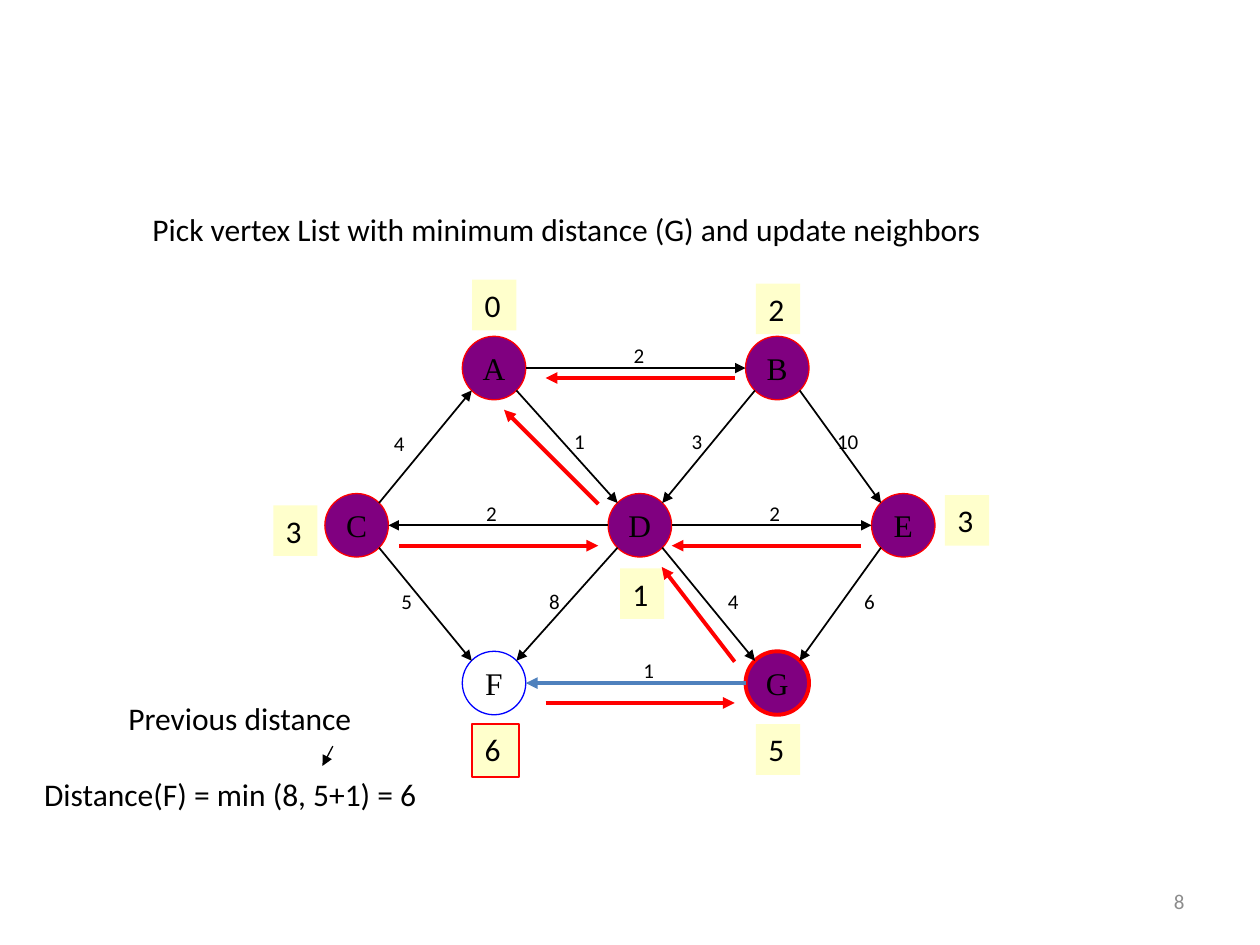
"""Build a slide showing one step of a shortest-path search on a weighted graph."""
from lxml.etree import SubElement
from pptx import Presentation
from pptx.dml.color import RGBColor
from pptx.enum.shapes import MSO_CONNECTOR as Connector, MSO_SHAPE as Shape
from pptx.enum.text import MSO_ANCHOR as Anchor, MSO_AUTO_SIZE as AutoSize, PP_ALIGN as Align
from pptx.oxml.ns import qn
from pptx.util import Cm, Pt

rgb = RGBColor.from_string
BLACK, RED, BLUE, PURPLE, YELLOW = "000000", "FF0000", "0000FF", "800080", "FFFFCC"


def write(shape, text, size=18, font="Calibri", color=BLACK, align=Align.LEFT,
          anchor=Anchor.TOP, wrap=True):
    frame = shape.text_frame
    frame.text = text
    frame_format = {"word_wrap": wrap, "auto_size": AutoSize.NONE, "vertical_anchor": anchor}
    for name, value in frame_format.items():
        setattr(frame, name, value)
    paragraph = frame.paragraphs[0]
    paragraph.alignment = align
    run_font = paragraph.runs[0].font
    for name, value in {"name": font, "size": Pt(size)}.items():
        setattr(run_font, name, value)
    run_font.color.rgb = rgb(color)


def draw_arrow(start, end, color=BLACK, width=1):
    arrow = slide.shapes.add_connector(Connector.STRAIGHT, *map(Cm, (*start, *end)))
    arrow.line.color.rgb = rgb(color)
    arrow.line.width = Pt(width)
    SubElement(arrow.line._get_or_add_ln(), qn("a:tailEnd"), type="triangle")
    SubElement(arrow._element.spPr, qn("a:effectLst"))


deck = Presentation()
deck.slide_width, deck.slide_height = Cm(25.4), Cm(19.05)
slide = deck.slides.add_slide(deck.slide_layouts[5])

heading = slide.shapes.title
heading_place = {"left": 2.82, "top": 4.11, "width": 18.9, "height": 1.02}
for side, length in heading_place.items():
    setattr(heading, side, Cm(length))
write(heading, "Pick vertex List with minimum distance (G) and update neighbors")

page_number = slide.shapes.add_textbox(Cm(18.21), Cm(17.65), Cm(5.92), Cm(1.02))
write(page_number, "8", size=12, color="8C8C8C", align=Align.RIGHT, anchor=Anchor.MIDDLE)

RADIUS, DIAGONAL = 0.64, 0.45
TOP_ROW, MIDDLE_ROW, BOTTOM_ROW = 7.42, 10.59, 13.77
vertices = {
    "A": (9.96, TOP_ROW), "B": (15.67, TOP_ROW),
    "C": (7.19, MIDDLE_ROW), "D": (12.9, MIDDLE_ROW), "E": (18.21, MIDDLE_ROW),
    "F": (9.96, BOTTOM_ROW), "G": (15.67, BOTTOM_ROW),
}
for letter, (x, y) in vertices.items():
    vertex = slide.shapes.add_shape(Shape.OVAL, Cm(x - RADIUS), Cm(y - RADIUS),
                                    Cm(2 * RADIUS), Cm(2 * RADIUS))
    vertex.shadow.inherit = False
    if letter == "F":
        vertex.fill.background()
    else:
        vertex.fill.solid()
        vertex.fill.fore_color.rgb = rgb(PURPLE)
    vertex.line.color.rgb = rgb(BLUE if letter == "F" else RED)
    vertex.line.width = Pt(2.25 if letter == "G" else 0.75)
    write(vertex, letter, font="Times New Roman", align=Align.CENTER,
          anchor=Anchor.MIDDLE, wrap=False)

edges = [
    ("AB", "2", 12.88, 7.16), ("AD", "1", 11.68, 8.89), ("BD", "3", 14.05, 8.89),
    ("BE", "10", 17.09, 8.89), ("CA", "4", 8.05, 8.94), ("DC", "2", 9.91, 10.34),
    ("DE", "2", 15.62, 10.34), ("CF", "5", 8.2, 12.12), ("DF", "8", 11.18, 12.12),
    ("DG", "4", 14.78, 12.12), ("EG", "6", 17.53, 12.12), ("GF", "1", 13.08, 13.51),
]
LABEL = 0.76
for (source, target), weight, label_x, label_y in edges:
    (x1, y1), (x2, y2) = vertices[source], vertices[target]
    across = 1 if x2 > x1 else -1
    down = (y2 > y1) - (y2 < y1)
    dx, dy = across * (DIAGONAL if down else RADIUS), down * DIAGONAL
    updated = source + target == "GF"
    draw_arrow((x1 + dx, y1 + dy), (x2 - dx, y2 - dy),
               "4F81BD" if updated else BLACK, 2.25 if updated else 1)
    label = slide.shapes.add_textbox(Cm(label_x - LABEL / 2), Cm(label_y - LABEL / 2),
                                     Cm(LABEL), Cm(LABEL))
    write(label, weight, size=12, align=Align.CENTER, anchor=Anchor.MIDDLE, wrap=False)

distances = [
    ("0", 9.52, 5.64), ("2", 15.24, 5.72), ("3", 5.51, 10.19), ("3", 19.05, 9.98),
    ("1", 12.5, 11.46), ("6", 9.52, 14.6), ("5", 15.24, 14.6),
]
for value, left, top in distances:
    changed = value == "6"
    width, height = (0.94, 1.07) if changed else (0.89, 1.02)
    distance = slide.shapes.add_shape(Shape.RECTANGLE, Cm(left), Cm(top), Cm(width), Cm(height))
    distance.shadow.inherit = False
    distance.fill.solid()
    distance.fill.fore_color.rgb = rgb(YELLOW)
    if changed:
        distance.line.color.rgb = rgb(RED)
        distance.line.width = Pt(1.25)
    else:
        distance.line.fill.background()
    write(distance, value, wrap=False)

back_pointers = [
    ((12.06, 10.16), (10.16, 8.26)), ((14.81, 7.62), (11, 7.62)),
    ((17.35, 11), (13.54, 11)), ((14.81, 13.34), (13.34, 11.43)),
    ((11, 14.17), (14.81, 14.17)), ((8.05, 11), (12.06, 11)),
]
for start, end in back_pointers:
    draw_arrow(start, end, RED, 2.25)

notes = [
    ("Distance(F) = min (8, 5+1) = 6", 0.64, 15.49, 9.96),
    ("Previous distance", 2.34, 13.97, 5.72),
]
for text, left, top, width in notes:
    note = slide.shapes.add_textbox(Cm(left), Cm(top), Cm(width), Cm(1.02))
    write(note, text)
draw_arrow((6.71, 15.04), (6.5, 15.44), width=0.75)

deck.save("out.pptx")
